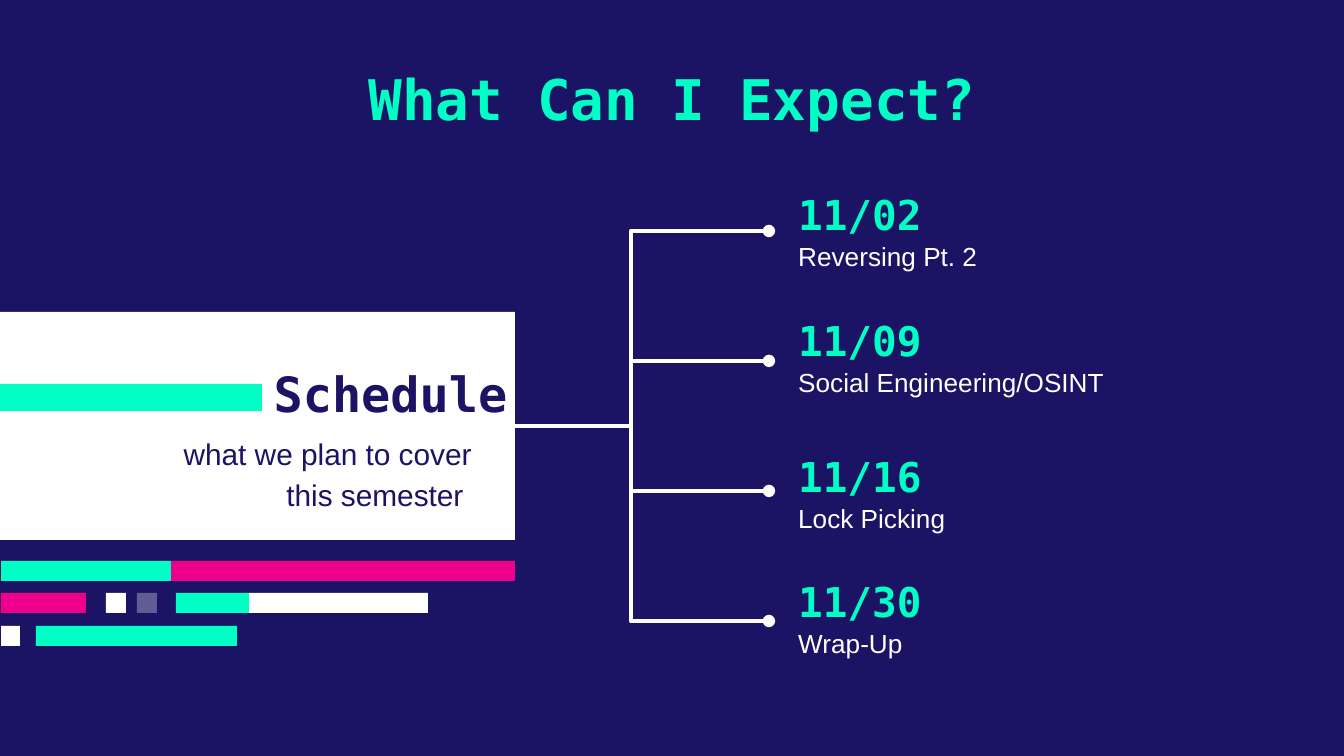
from dataclasses import dataclass

from lxml import etree
from pptx import Presentation
from pptx import util as u
from pptx.dml.color import RGBColor
from pptx.enum import shapes, text
from pptx.oxml.ns import qn

PX = 914400 / 134.4


@dataclass(frozen=True)
class Theme:
    navy: str = "1B1464"
    mint: str = "00FFC5"
    pink: str = "EC008C"
    white: str = "FFFFFF"
    mono: str = "DejaVu Sans Mono"
    sans: str = "Arial"
    title: int = 30
    heading: int = 26
    date: int = 22
    body: int = 16
    topic: int = 14


THEME = Theme()

TITLE = "What Can I Expect?"
HEADING = "Schedule"
SUBTITLE = "what we plan to cover this semester "
MEETINGS = [  # top of the date, date, topic
    (194, "11/02", "Reversing Pt. 2"),
    (320, "11/09", "Social Engineering/OSINT"),
    (456, "11/16", "Lock Picking"),
    (581, "11/30", "Wrap-Up"),
]
BAR_ROWS = [  # top, then (left, right, colour, opacity in percent)
    (561, [(1, 171, THEME.mint, 100), (171, 515, THEME.pink, 100)]),
    (593, [(1, 86, THEME.pink, 100), (106, 126, THEME.white, 100),
           (137, 157, THEME.white, 31), (176, 249, THEME.mint, 100),
           (249, 428, THEME.white, 100)]),
    (626, [(1, 20, THEME.white, 100), (36, 237, THEME.mint, 100)]),
]
BAR_HEIGHT = 20
MEETING_LEFT, MEETING_WIDTH, LINE_HEIGHT, TOPIC_OFFSET = 785, 396, 40, 42
TREE_START, TREE_END_X = (493, 426), 769
BRANCH_TOP, BRANCH_STEP = 231, 130


def px(value):
    return u.Emu(round(value * PX))


def add_bar(slide, left, top, width, height, color, opacity=100):
    shape = slide.shapes.add_shape(
        shapes.MSO_SHAPE.RECTANGLE, *map(px, (left, top, width, height)))
    shape.shadow.inherit = False
    shape.line.fill.background()
    shape.fill.solid()
    shape.fill.fore_color.rgb = RGBColor.from_string(color)
    if opacity < 100:
        fill_color = shape.fill._xPr.find(qn("a:solidFill"))[0]
        etree.SubElement(fill_color, qn("a:alpha"), val=str(opacity * 1000))


def add_text(slide, box, content, font, size, color, align="LEFT",
             anchor="TOP", spacing=None, inset=0):
    shape = slide.shapes.add_textbox(*map(px, box))
    frame = shape.text_frame
    frame.text = content
    frame.word_wrap = True
    frame.auto_size = text.MSO_AUTO_SIZE.NONE
    frame.vertical_anchor = text.MSO_ANCHOR[anchor]
    frame.margin_left = frame.margin_right = u.Inches(0.1)
    frame.margin_top = frame.margin_bottom = u.Inches(inset)
    paragraph = frame.paragraphs[0]
    paragraph.alignment = text.PP_ALIGN[align]
    if spacing:
        paragraph.line_spacing = spacing
    run_font = paragraph.runs[0].font
    run_font.name = font
    run_font.size = u.Pt(size)
    run_font.bold = font == THEME.mono
    run_font.color.rgb = RGBColor.from_string(color)


def add_branch(slide, start, end):
    """Elbow line ending in a dot."""
    branch = slide.shapes.add_connector(
        shapes.MSO_CONNECTOR.ELBOW, *map(px, (*start, *end)))
    branch.line.width = u.Pt(2.25)
    branch.line.color.rgb = RGBColor.from_string(THEME.white)
    etree.SubElement(branch.line._get_or_add_ln(), qn("a:tailEnd"), type="oval")
    etree.SubElement(branch._element.spPr, qn("a:effectLst"))


def main():
    presentation = Presentation()
    presentation.slide_width, presentation.slide_height = px(1344), px(756)
    slide = presentation.slides.add_slide(presentation.slide_layouts[6])
    slide.background.fill.solid()
    slide.background.fill.fore_color.rgb = RGBColor.from_string(THEME.navy)

    add_text(slide, (188, 51, 968, 98), TITLE, THEME.mono, THEME.title,
             THEME.mint, align="CENTER", inset=0.1)

    add_bar(slide, 0, 312, 515, 228, THEME.white)
    add_bar(slide, 0, 384, 262, 27, THEME.mint)
    add_text(slide, (164, 364, 357, 58), HEADING, THEME.mono, THEME.heading,
             THEME.navy, align="RIGHT", anchor="MIDDLE")
    add_text(slide, (128, 430, 357, 64), SUBTITLE, THEME.sans, THEME.body,
             THEME.navy, align="RIGHT", spacing=1.15)

    for top, bars in BAR_ROWS:
        for left, right, color, opacity in bars:
            add_bar(slide, left, top, right - left, BAR_HEIGHT, color, opacity)

    for index, (top, date, topic) in enumerate(MEETINGS):
        add_text(slide, (MEETING_LEFT, top, MEETING_WIDTH, LINE_HEIGHT), date,
                 THEME.mono, THEME.date, THEME.mint, anchor="MIDDLE")
        add_text(slide, (MEETING_LEFT, top + TOPIC_OFFSET, MEETING_WIDTH, LINE_HEIGHT),
                 topic, THEME.sans, THEME.topic, THEME.white, spacing=1.15)
        add_branch(slide, TREE_START, (TREE_END_X, BRANCH_TOP + index * BRANCH_STEP))

    presentation.save("out.pptx")


if __name__ == "__main__":
    main()
